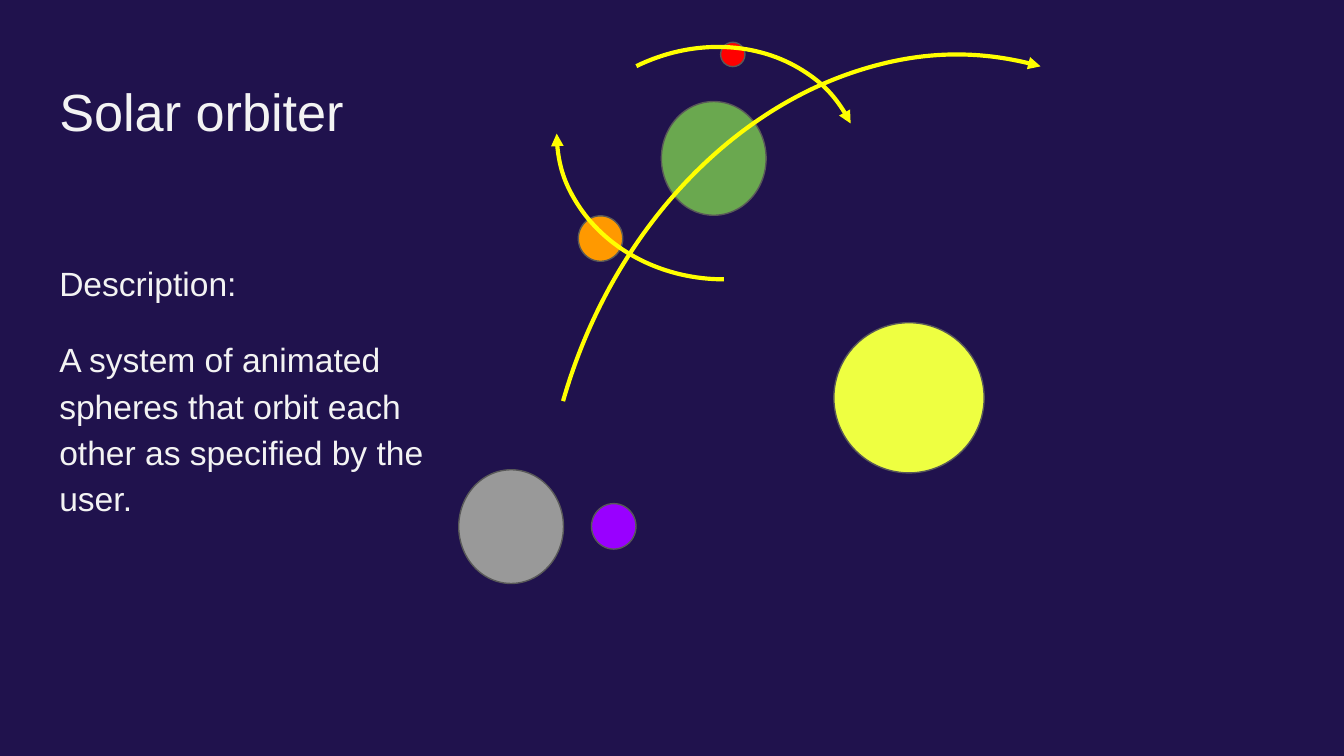
from dataclasses import dataclass

from pptx import Presentation
from pptx import util as u
from pptx.dml.color import RGBColor
from pptx.enum import shapes, text
from pptx.oxml.ns import qn
from lxml import etree

NIGHT = RGBColor(0x20, 0x12, 0x4D)
PALE = RGBColor(0xF3, 0xF3, 0xF3)
OUTLINE = RGBColor(0x59, 0x59, 0x59)
YELLOW = RGBColor(0xFF, 0xFF, 0x00)
SUN = RGBColor(0xEE, 0xFF, 0x41)
GREEN = RGBColor(0x6A, 0xA8, 0x4F)
GREY = RGBColor(0x99, 0x99, 0x99)
PURPLE = RGBColor(0x99, 0x00, 0xFF)
ORANGE = RGBColor(0xFF, 0x99, 0x00)
RED = RGBColor(0xFF, 0x00, 0x00)


@dataclass
class Sphere:
    left: float
    top: float
    width: float
    height: float
    color: RGBColor


@dataclass
class Orbit:
    left: float
    top: float
    width: float
    height: float
    rotation: float


SPHERES = [
    Sphere(15.76, 6.1, 2.84, 2.84, SUN),
    Sphere(12.5, 1.92, 1.98, 2.15, GREEN),
    Sphere(8.67, 8.88, 1.98, 2.15, GREY),
    Sphere(11.18, 9.52, 0.84, 0.86, PURPLE),
    Sphere(10.93, 4.08, 0.84, 0.86, ORANGE),
    Sphere(13.62, 0.8, 0.46, 0.46, RED),
]
ORBITS = [
    Orbit(8.76, 2.54, 17.12, 13.89, 285.9),
    Orbit(10.52, -0.23, 6.32, 5.51, 180),
    Orbit(10.08, 0.97, 6.32, 5.51, 333.9),
]


def place(sp, left: float, top: float, width: float, height: float) -> None:
    sp.left, sp.top, sp.width, sp.height = map(u.Cm, (left, top, width, height))


def write(sp, *lines: str, size: float, spacing: float = 1.0, after: float = 0) -> None:
    tf = sp.text_frame
    tf.word_wrap = True
    tf.auto_size = text.MSO_AUTO_SIZE.NONE
    tf.vertical_anchor = text.MSO_ANCHOR.TOP
    tf.margin_left = tf.margin_right = tf.margin_top = tf.margin_bottom = u.Cm(0.25)
    for i, line in enumerate(lines):
        p = tf.paragraphs[0] if i == 0 else tf.add_paragraph()
        p.alignment = text.PP_ALIGN.LEFT
        p.line_spacing = spacing
        p.space_before, p.space_after = u.Pt(0), u.Pt(after)
        pPr = p._p.get_or_add_pPr()
        pPr.set("marL", "0")
        pPr.set("indent", "0")
        etree.SubElement(pPr, qn("a:buNone"))
        r = p.add_run()
        r.text = line
        r.font.name, r.font.size = "Arial", u.Pt(size)
        r.font.color.rgb = PALE


def add_sphere(s, sphere: Sphere) -> None:
    sp = s.shapes.add_shape(shapes.MSO_SHAPE.OVAL, 0, 0, 0, 0)
    place(sp, sphere.left, sphere.top, sphere.width, sphere.height)
    sp.shadow.inherit = False
    sp.fill.solid()
    sp.fill.fore_color.rgb = sphere.color
    sp.line.color.rgb, sp.line.width = OUTLINE, u.Pt(0.75)


def add_orbit(s, orbit: Orbit) -> None:
    sp = s.shapes.add_shape(shapes.MSO_SHAPE.ARC, 0, 0, 0, 0)
    place(sp, orbit.left, orbit.top, orbit.width, orbit.height)
    sp.rotation = orbit.rotation
    sp.shadow.inherit = False
    sp.fill.background()
    sp.line.color.rgb, sp.line.width = YELLOW, u.Pt(2.25)
    etree.SubElement(sp.line._get_or_add_ln(), qn("a:tailEnd"), type="triangle")


def main() -> None:
    prs = Presentation()
    prs.slide_width, prs.slide_height = u.Cm(25.4), u.Cm(14.29)
    s = prs.slides.add_slide(prs.slide_layouts[1])
    s.background.fill.solid()
    s.background.fill.fore_color.rgb = NIGHT

    # Title and description
    title, body = s.placeholders
    place(title, 0.87, 1.24, 23.67, 1.6)
    write(title, "Solar orbiter", size=28)
    place(body, 0.87, 4.61, 8.18, 8.06)
    write(body, "Description:",
          "A system of animated spheres that orbit each other as specified by the user.",
          size=18, spacing=1.15, after=16)

    # Spheres, then the arrows of their orbits
    for sphere in SPHERES:
        add_sphere(s, sphere)
    for orbit in ORBITS:
        add_orbit(s, orbit)

    prs.save("out.pptx")


if __name__ == "__main__":
    main()
